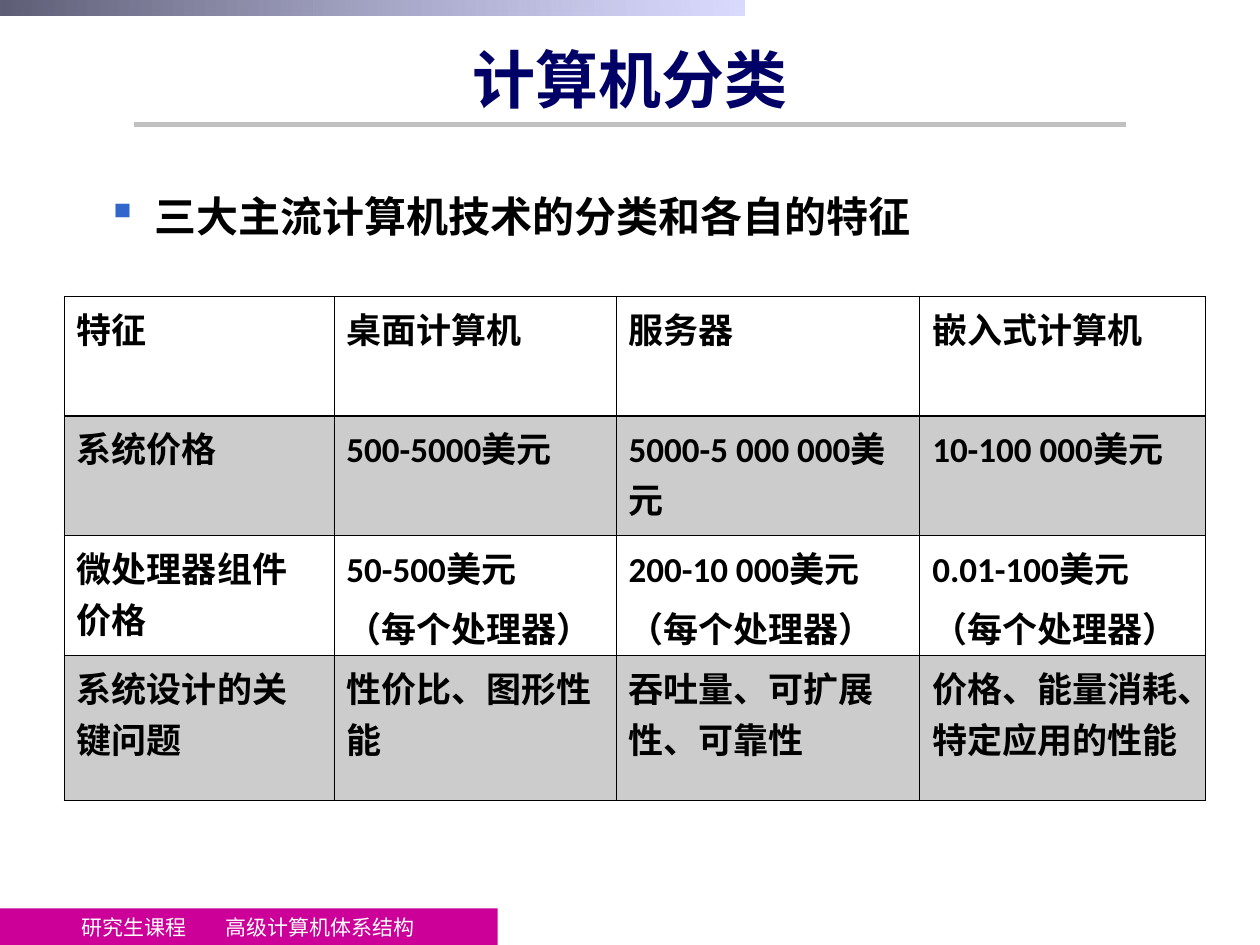
from lxml import etree
from pptx import Presentation
from pptx import util as u
from pptx.dml.color import RGBColor
from pptx.enum import shapes, text
from pptx.oxml.ns import qn

WIDTH, HEIGHT = 10, 7.5

# Content
TITLE = "计算机分类"
LEAD = "三大主流计算机技术的分类和各自的特征"
FOOTER = "研究生课程\t高级计算机体系结构"
PER_CPU = "\n（每个处理器）"
ROWS = [
    ["特征", "桌面计算机", "服务器", "嵌入式计算机"],
    ["系统价格", "500-5000美元", "5000-5 000 000美元", "10-100 000美元"],
    ["微处理器组件价格"] + [price + PER_CPU for price in
                    ("50-500美元", "200-10 000美元", "0.01-100美元")],
    ["系统设计的关键问题", "性价比、图形性能", "吞吐量、可扩展性、可靠性",
     "价格、能量消耗、特定应用的性能"],
]
COLUMN_WIDTHS = [2.14, 2.24, 2.41, 2.27]
ROW_HEIGHTS = [0.95, 0.95, 0.95, 1.15]

# Formats
SERIF = "Times New Roman"
TITLE_FONT = dict(name=SERIF, size=u.Pt(36), bold=True, color="000066")
LEAD_FONT = dict(name=SERIF, size=u.Pt(24), bold=True, color="000000")
FOOTER_FONT = dict(name=SERIF, size=u.Pt(12), bold=False, color="FFFFFF")
CELL_FONT = dict(name="Calibri", size=u.Pt(20), bold=True, color="000000")
THIN, THICK = 0.45, 0.96


def paint(target, hex_color):
    target.rgb = RGBColor.from_string(hex_color)


def set_font(paragraph, formats):
    for key, value in formats.items():
        if key == "color":
            paint(paragraph.font.color, value)
        else:
            setattr(paragraph.font, key, value)


def set_frame(frame, **formats):
    for key, value in formats.items():
        setattr(frame, key, value)


def inches(*lengths):
    return [u.Inches(length) for length in lengths]


def add(parent, tag, **attributes):
    return etree.SubElement(parent, qn(tag), {k: str(v) for k, v in attributes.items()})


def set_alpha(color_xml, percent):
    add(color_xml, "a:alpha", val=percent * 1000)


def add_bar(slide, left, top, width, height):
    bar = slide.shapes.add_shape(shapes.MSO_SHAPE.RECTANGLE,
                                 *inches(left, top, width, height))
    bar.shadow.inherit = False
    bar.line.fill.background()
    return bar


def add_border(cell, side, points):
    line = add(cell._tc.get_or_add_tcPr(), f"a:ln{side}", w=u.Pt(points))
    add(add(line, "a:solidFill"), "a:srgbClr", val="000000")


def add_footer(slide):
    footer = add_bar(slide, 0, 7.21, 3.95, 0.3)
    footer.fill.solid()
    paint(footer.fill.fore_color, "CC0099")
    set_frame(footer.text_frame, margin_left=u.Inches(0.65), margin_right=0,
              margin_top=0, margin_bottom=0, word_wrap=True,
              vertical_anchor=text.MSO_ANCHOR.MIDDLE)
    line = footer.text_frame.paragraphs[0]
    line.alignment = text.PP_ALIGN.LEFT
    tabs = add(line._p.get_or_add_pPr(), "a:tabLst")
    add(tabs, "a:tab", pos=u.Inches(1.14), algn="l")
    line.add_run().text = FOOTER
    set_font(line, FOOTER_FONT)


def add_header(slide):
    # Fading band along the top edge
    band = add_bar(slide, 0, 0, 5.91, 0.12)
    band.fill.gradient()
    band.fill.gradient_angle = 0
    start, end = band.fill.gradient_stops
    for stop, position, color in ((start, 0, "5E5E76"), (end, 1, "CCCCFF")):
        stop.position = position
        paint(stop.color, color)
    set_alpha(end._gs[0], 72)

    # Rule under the title
    rule = slide.shapes.add_connector(shapes.MSO_CONNECTOR.STRAIGHT,
                                      *inches(1.06, 0.99, WIDTH - 1.06, 0.99))
    rule.line.width = u.Pt(2.75)
    paint(rule.line.color, "C0C0C0")
    add(rule._element.spPr, "a:effectLst")

    title = slide.shapes.title
    title.left, title.top, title.width, title.height = inches(0.75, 0.21, 8.5, 0.83)
    title.text_frame.text = TITLE
    title.text_frame.vertical_anchor = text.MSO_ANCHOR.MIDDLE
    heading = title.text_frame.paragraphs[0]
    heading.alignment = text.PP_ALIGN.CENTER
    set_font(heading, TITLE_FONT)


def add_lead(slide):
    box = slide.shapes.add_textbox(*inches(0.75, 1.5, 8.49, 0.6))
    set_frame(box.text_frame, word_wrap=True, margin_top=u.Inches(0.01))
    lead = box.text_frame.paragraphs[0]
    lead.text = LEAD
    properties = lead._p.get_or_add_pPr()
    indent = u.Inches(0.38)
    properties.set("marL", str(indent))
    properties.set("indent", str(-indent))
    add(add(properties, "a:buClr"), "a:srgbClr", val="3366CC")
    add(properties, "a:buChar", char="▪")
    set_font(lead, LEAD_FONT)


def add_comparison(slide):
    frame = slide.shapes.add_table(
        len(ROWS), len(COLUMN_WIDTHS),
        *inches(0.51, 2.35, sum(COLUMN_WIDTHS), sum(ROW_HEIGHTS)))
    table = frame.table
    table.first_row = table.horz_banding = False
    for column, width in zip(table.columns, COLUMN_WIDTHS):
        column.width = u.Inches(width)
    for row, height in zip(table.rows, ROW_HEIGHTS):
        row.height = u.Inches(height)

    for r, entries in enumerate(ROWS):
        borders = dict(L=THIN, R=THIN, T=THICK if r == 1 else THIN,
                       B=THICK if r == 0 else THIN)
        for c, entry in enumerate(entries):
            cell = table.cell(r, c)
            cell.text = entry
            for i, paragraph in enumerate(cell.text_frame.paragraphs):
                paragraph.space_before = u.Pt(5 if i else 0)
                set_font(paragraph, CELL_FONT)
            for side, points in borders.items():
                add_border(cell, side, points)
            if r % 2:  # every second row is shaded
                cell.fill.solid()
                paint(cell.fill.fore_color, "000000")
                set_alpha(cell._tc.tcPr.find(qn("a:solidFill"))[0], 20)
            else:
                cell.fill.background()


def main():
    deck = Presentation()
    deck.slide_width, deck.slide_height = inches(WIDTH, HEIGHT)
    slide = deck.slides.add_slide(deck.slide_layouts[5])
    add_footer(slide)
    add_header(slide)
    add_lead(slide)
    add_comparison(slide)
    deck.save("out.pptx")


if __name__ == "__main__":
    main()
